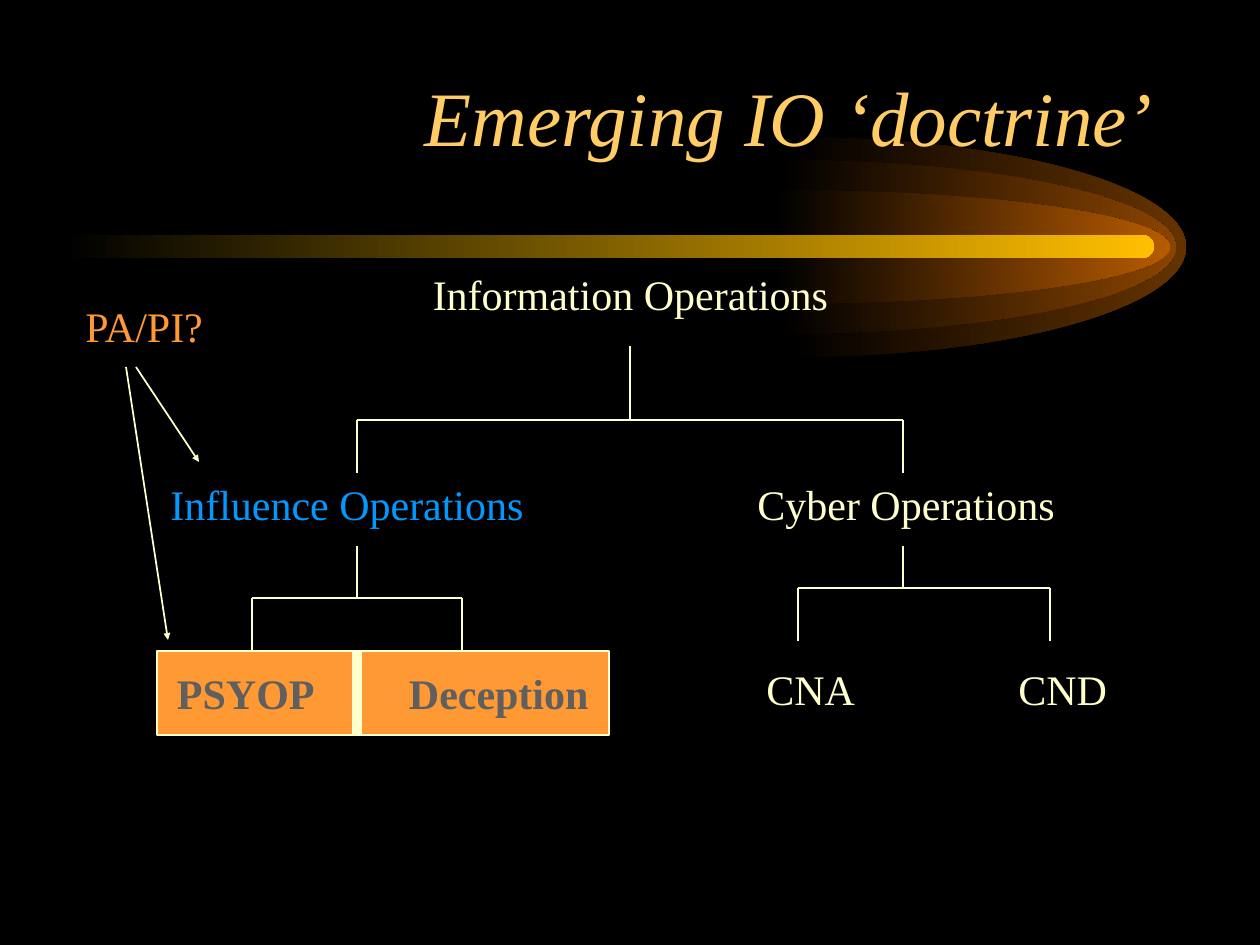
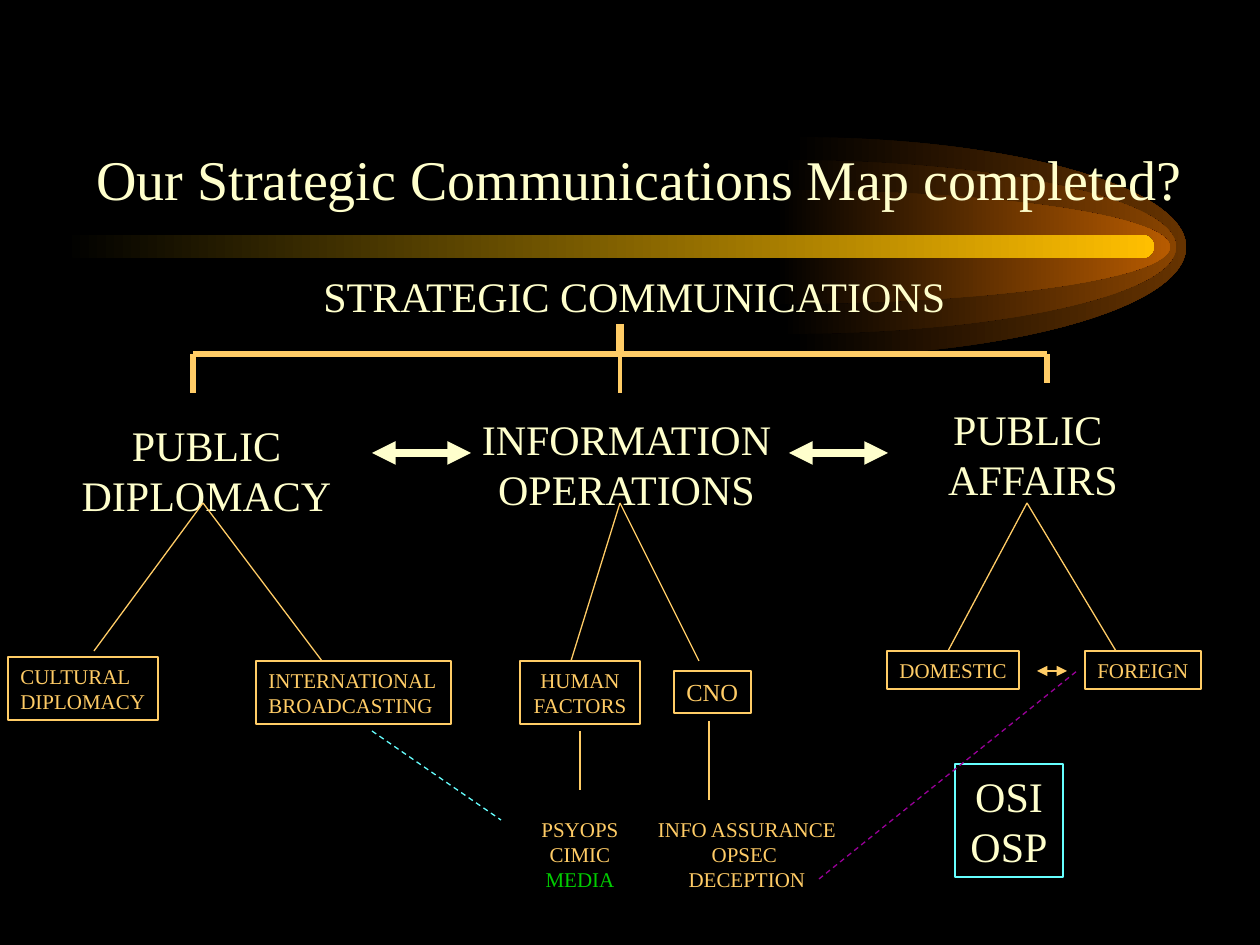
"""Build two slides that map information operations and strategic communications."""
from pptx import Presentation
from pptx.dml.color import RGBColor
from pptx.enum.dml import MSO_LINE
from pptx.enum.shapes import MSO_CONNECTOR, MSO_SHAPE
from pptx.enum.text import MSO_ANCHOR, PP_ALIGN
from pptx.oxml.ns import qn
from pptx.util import Pt
from lxml.etree import SubElement

EMU_PER_PX = 914400 / 126
FONT = "Times New Roman"
COLORS = {
    "black": "000000", "cream": "FFFFCC", "gold": "FFCC66", "orange": "FF9933",
    "blue": "0099FF", "gray": "5F5F5F", "green": "00CC00", "cyan": "66FFFF",
    "purple": "990099", "bar": "FFBF00",
    "glow1": "663300", "glow2": "894400", "glow3": "B75B00",
}
ALIGN = {"l": PP_ALIGN.LEFT, "c": PP_ALIGN.CENTER, "r": PP_ALIGN.RIGHT}

AXIS_Y, GLOW_RX, ARC = 247, 394, 0.55
GLOWS = [(792, 110, "glow1"), (782, 87, "glow2"), (776, 57, "glow3")]
BAR = (63, 235, 1091, 23)

DOCTRINE_TITLE = ("Emerging IO ‘doctrine’", (95, 32, 1071, 168), 44, "gold", "r")
DOCTRINE_LABELS = [
    ("Information Operations", (95, 262, 1071, 63), 24, "cream", "c"),
    ("Influence Operations", (158, 472, 388, 63), 24, "blue", "l"),
    ("Cyber Operations", (745, 472, 347, 63), 24, "cream", "l"),
    ("PA/PI?", (73, 294, 147, 63), 24, "orange", "l"),
]
CYBER_PARTS = ("CNA\tCND", (754, 657, 400, 63), 24, "cream", "l")
CYBER_TAB = 252
INFLUENCE_PARTS = ("PSYOP\tDeception", (157, 651, 452, 84), 24, "gray", "l")
INFLUENCE_TAB, INFLUENCE_INSET = 232, 20
DIVIDER = (357, 651, 357, 735)
TREES = [
    (630, 346, 420, 473, (357, 903)),
    (357, 546, 598, 651, (252, 462)),
    (903, 546, 588, 641, (798, 1050)),
]
PA_ARROWS = [(136, 367, 199, 462), (126, 367, 168, 640)]

MAP_TITLE = ("Our Strategic Communications Map completed?",
             (84, 138, 1140, 81), 32, "cream", "l")
MAP_LABELS = [
    ("STRATEGIC COMMUNICATIONS", (311, 264, 656, 63), 24, "cream", "l"),
    ("INFORMATION\nOPERATIONS", (467, 407, 319, 113), 24, "cream", "c"),
    ("PUBLIC \nAFFAIRS", (934, 397, 198, 113), 24, "cream", "c"),
    ("PSYOPS\nCIMIC\nMEDIA", (529, 810, 102, 88), 12, "gold", "c"),
    ("INFO ASSURANCE\nOPSEC \nDECEPTION", (645, 810, 204, 88), 12, "gold", "c"),
]
DIPLOMACY = ("PUBLIC DIPLOMACY", (39, 413, 335, 113), 24, "cream", "c")
ACCENTS = {"MEDIA": "green"}
MAP_BOXES = [
    ("CULTURAL\nDIPLOMACY", (8, 657, 150, 63), 12, "gold", "l", "gold"),
    ("INTERNATIONAL\nBROADCASTING", (256, 661, 195, 63), 12, "gold", "l", "gold"),
    ("HUMAN\nFACTORS", (520, 661, 120, 63), 12, "gold", "c", "gold"),
    ("CNO", (674, 671, 77, 42), 14, "gold", "l", "gold"),
    ("DOMESTIC", (887, 651, 132, 38), 12, "gold", "l", "gold"),
    ("FOREIGN", (1085, 651, 116, 38), 12, "gold", "l", "gold"),
    ("OSI\nOSP", (955, 764, 108, 113), 24, "cream", "c", "cyan"),
]
TRUNK_LINES = [
    ((620, 324, 620, 354), 4.5),
    ((193, 354, 1047, 354), 3),
    ((193, 354, 193, 393), 3),
    ((620, 354, 620, 393), 2.25),
    ((1047, 354, 1047, 383), 3),
]
DOT = (272, 363, 272, 363)
FANS = [
    ((203, 503), [(94, 651), (322, 661)]),
    ((620, 503), [(571, 661), (699, 661)]),
    ((1027, 503), [(948, 651), (1116, 651)]),
]
STEMS = [(580, 731, 580, 790), (709, 721, 709, 800)]
DASHES = [((372, 731, 501, 820), "cyan"), ((819, 879, 1077, 671), "purple")]
PEER_ARROWS = [
    ((1037, 671, 1067, 671), "gold", 0.75),
    ((372, 453, 471, 453), "cream", 4.5),
    ((789, 453, 888, 453), "cream", 4.5),
]


def px(n):
    return round(n * EMU_PER_PX)


def rgb(name):
    return RGBColor.from_string(COLORS[name])


def fade(sp, color):
    """Fill from black on the left to the colour on the right."""
    sp.shadow.inherit = False
    sp.line.fill.background()
    sp.fill.gradient()
    sp.fill.gradient_angle = 0
    for stop, (pos, name) in zip(sp.fill.gradient_stops, [(0, "black"), (1, color)]):
        stop.position = pos
        stop.color.rgb = rgb(name)


def add_glow(slide, cx, ry, color):
    """Draw the right half of an ellipse as two curves."""
    fb = slide.shapes.build_freeform(px(cx), px(AXIS_Y - ry))
    fb.add_line_segments([(px(cx + GLOW_RX), px(AXIS_Y)), (px(cx), px(AXIS_Y + ry))])
    sp = fb.convert_to_shape()
    rx, near, far = GLOW_RX, ry * (1 - ARC), ry * (1 + ARC)
    curves = [
        [(rx * ARC, 0), (rx, near), (rx, ry)],
        [(rx, far), (rx * ARC, 2 * ry), (0, 2 * ry)],
    ]
    for seg, pts in zip(list(sp._element.iter(qn("a:lnTo"))), curves):
        curve = SubElement(seg.getparent(), qn("a:cubicBezTo"))
        for x, y in pts:
            SubElement(curve, qn("a:pt"), x=str(px(x)), y=str(px(y)))
        seg.getparent().replace(seg, curve)
    fade(sp, color)


def add_base(prs):
    slide = prs.slides.add_slide(prs.slide_layouts[6])
    slide.background.fill.solid()
    slide.background.fill.fore_color.rgb = rgb("black")
    for glow in GLOWS:
        add_glow(slide, *glow)
    sp = slide.shapes.add_shape(MSO_SHAPE.ROUNDED_RECTANGLE, *map(px, BAR))
    sp.adjustments[0] = 0.5
    fade(sp, "bar")
    return slide


def set_text(sp, text, size, color, align, wrap=False, tab=None, bold=False,
             italic=False, anchor=MSO_ANCHOR.TOP):
    tf = sp.text_frame
    tf.text = text
    tf.word_wrap = wrap
    tf.vertical_anchor = anchor
    for p in tf.paragraphs:
        p.alignment = ALIGN[align]
        if tab:
            tabs = SubElement(p._p.get_or_add_pPr(), qn("a:tabLst"))
            SubElement(tabs, qn("a:tab"), pos=str(px(tab)), algn="l")
        for r in p.runs:
            r.font.name, r.font.size = FONT, Pt(size)
            r.font.bold, r.font.italic = bold, italic
            r.font.color.rgb = rgb(ACCENTS.get(r.text, color))


def add_label(slide, text, at, size, color, align, **style):
    sp = slide.shapes.add_textbox(*map(px, at))
    set_text(sp, text, size, color, align, **style)


def add_box(slide, text, at, size, color, align, edge, width=0.75, fill=None, **style):
    sp = slide.shapes.add_shape(MSO_SHAPE.RECTANGLE, *map(px, at))
    sp.shadow.inherit = False
    sp.line.color.rgb = rgb(edge)
    sp.line.width = Pt(width)
    if fill:
        sp.fill.solid()
        sp.fill.fore_color.rgb = rgb(fill)
    else:
        sp.fill.background()
    set_text(sp, text, size, color, align, **style)
    return sp


def add_line(slide, ends, color, width, dash=False, arrows=(), head="med"):
    cx = slide.shapes.add_connector(MSO_CONNECTOR.STRAIGHT, *map(px, ends))
    cx.line.color.rgb = rgb(color)
    cx.line.width = Pt(width)
    if dash:
        cx.line.dash_style = MSO_LINE.DASH
    ln = cx.line._get_or_add_ln()
    for end in arrows:
        SubElement(ln, qn(f"a:{end}"), type="triangle", w=head, len=head)
    SubElement(cx._element.spPr, qn("a:effectLst"))


def add_tree(slide, trunk, top, bar, bottom, branches):
    lines = [(trunk, top, trunk, bar), (branches[0], bar, branches[-1], bar)]
    lines += [(x, bar, x, bottom) for x in branches]
    for ends in lines:
        add_line(slide, ends, "cream", 1)


def build_doctrine(prs):
    slide = add_base(prs)
    add_label(slide, *DOCTRINE_TITLE, wrap=True, italic=True, anchor=MSO_ANCHOR.MIDDLE)
    for label in DOCTRINE_LABELS:
        add_label(slide, *label, wrap=True)
    add_label(slide, *CYBER_PARTS, wrap=True, tab=CYBER_TAB)
    sp = add_box(slide, *INFLUENCE_PARTS, edge="cream", width=1, fill="orange",
                 wrap=True, tab=INFLUENCE_TAB, bold=True, anchor=MSO_ANCHOR.MIDDLE)
    sp.text_frame.margin_left = px(INFLUENCE_INSET)
    add_line(slide, DIVIDER, "cream", 6)
    for tree in TREES:
        add_tree(slide, *tree)
    for ends in PA_ARROWS:
        add_line(slide, ends, "cream", 1, arrows=["tailEnd"], head="sm")


def build_map(prs):
    slide = add_base(prs)
    add_label(slide, *MAP_TITLE, wrap=True)
    for label in MAP_LABELS:
        add_label(slide, *label)
    add_label(slide, *DIPLOMACY, wrap=True)
    for box in MAP_BOXES:
        add_box(slide, *box)
    for ends, width in TRUNK_LINES:
        add_line(slide, ends, "gold", width)
    add_line(slide, DOT, "cream", 0.75)
    for start, tips in FANS:
        for tip in tips:
            add_line(slide, start + tip, "gold", 0.75)
    for ends in STEMS:
        add_line(slide, ends, "gold", 0.75)
    for ends, color in DASHES:
        add_line(slide, ends, color, 0.75, dash=True)
    for ends, color, width in PEER_ARROWS:
        add_line(slide, ends, color, width, arrows=["headEnd", "tailEnd"])


def main():
    prs = Presentation()
    prs.slide_width, prs.slide_height = px(1260), px(945)
    build_doctrine(prs)
    build_map(prs)
    prs.save("out.pptx")


if __name__ == "__main__":
    main()
